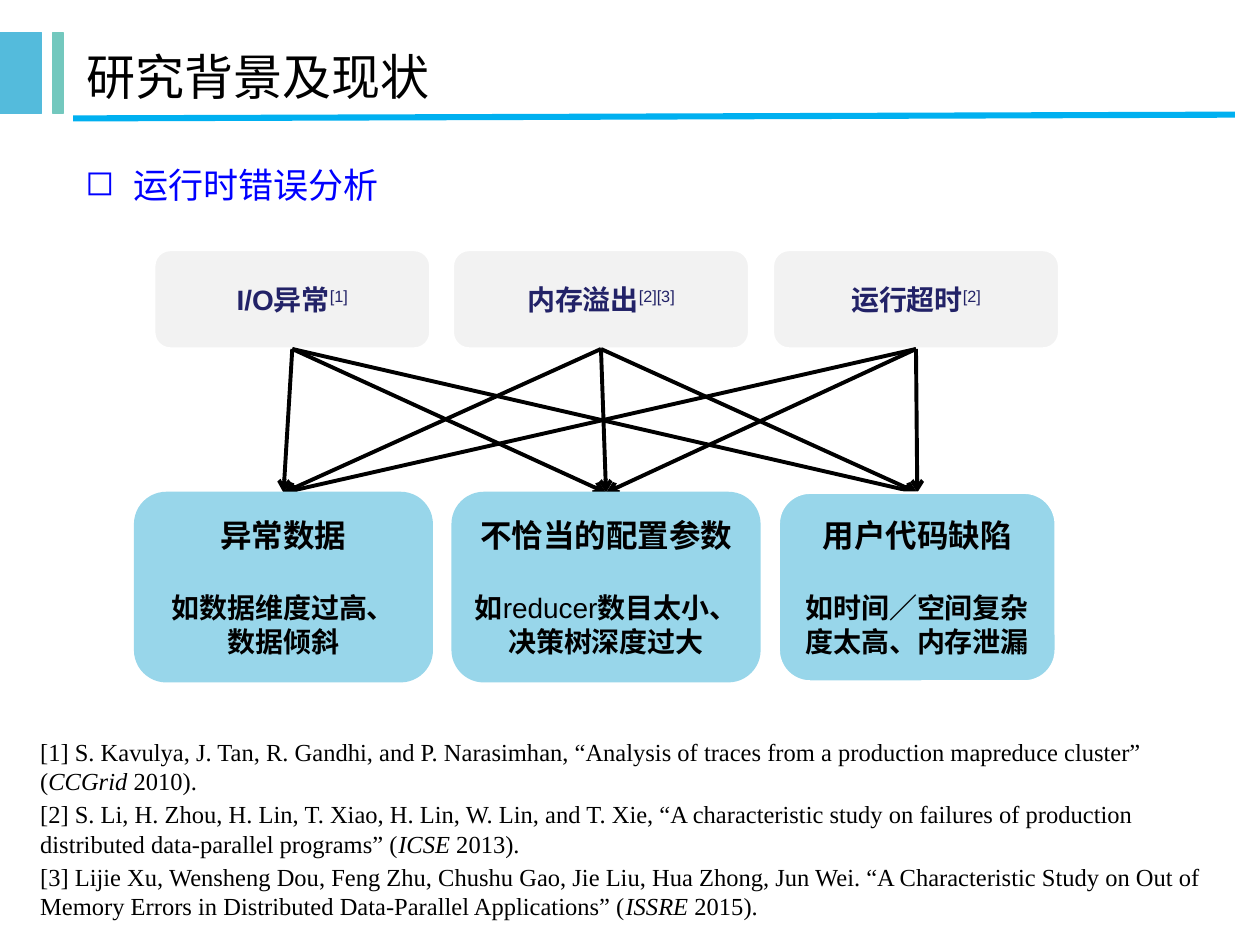
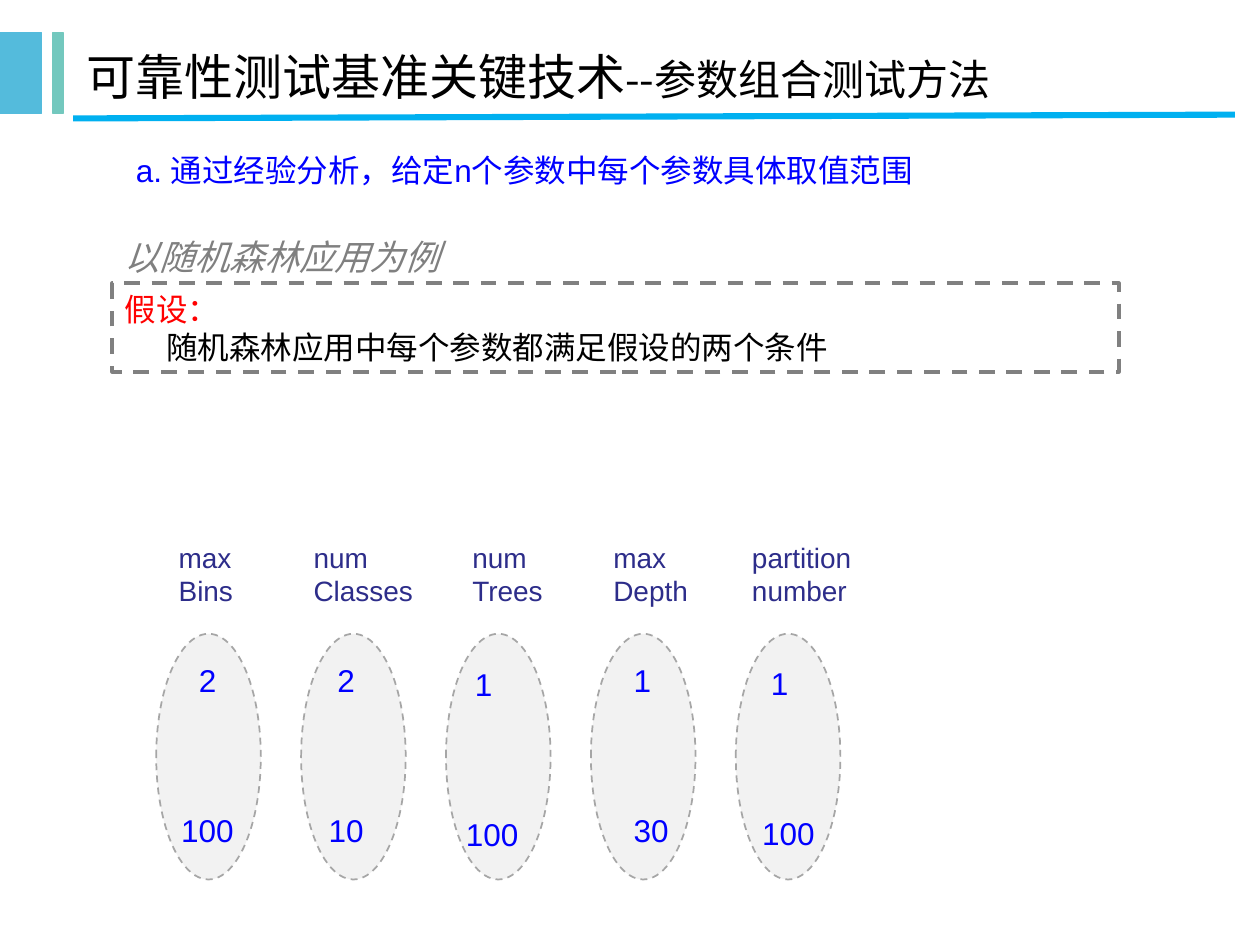
from itertools import product
from lxml.etree import SubElement
from pptx import Presentation
from pptx.dml.color import RGBColor
from pptx.enum.dml import MSO_LINE
from pptx.enum.shapes import MSO_CONNECTOR, MSO_SHAPE
from pptx.enum.text import MSO_ANCHOR, PP_ALIGN
from pptx.oxml.ns import qn
from pptx.util import Inches, Pt

COLORS = {
    "band": "54BBDC", "accent": "73C8BE", "rule": "00B0F0", "black": "000000",
    "white": "FFFFFF", "pale": "F2F2F2", "navy": "222267", "indigo": "2D2D8A",
    "blue": "0000FF", "cyan": "98D6EA", "gray": "808080", "silver": "A6A6A6",
    "red": "FF0000",
}
CJK_FONT = "Noto Sans CJK SC"


def rgb(name):
    return RGBColor.from_string(COLORS[name])


def write(paragraph, runs, size, color="black", font="Arial", bold=None,
          italic=None, align=PP_ALIGN.LEFT):
    paragraph.alignment = align
    paragraph.font.name = font
    paragraph.font.size = Pt(size)
    paragraph.font.bold = bold
    paragraph.font.italic = italic
    paragraph.font.color.rgb = rgb(color)
    for part in [runs] if isinstance(runs, str) else runs:
        text, changes = (part, {}) if isinstance(part, str) else part
        run = paragraph.add_run()
        run.text = text
        for name, value in changes.items():
            if name == "baseline":
                run._r.get_or_add_rPr().set("baseline", str(value))
            else:
                setattr(run.font, name, value)
        SubElement(run._r.get_or_add_rPr(), qn("a:ea"), typeface=CJK_FONT)
    return paragraph


def indent(paragraph, left, first=0):
    properties = paragraph._p.get_or_add_pPr()
    properties.set("marL", str(Inches(left)))
    properties.set("indent", str(Inches(first)))


def add_text(slide, box, lines, size, **style):
    frame = slide.shapes.add_textbox(*map(Inches, box)).text_frame
    frame.word_wrap = True
    for index, line in enumerate(lines):
        paragraph = frame.add_paragraph() if index else frame.paragraphs[0]
        write(paragraph, line, size, **style)
    return frame.paragraphs


def add_box(slide, kind, box, fill, line, width, dash=None):
    shape = slide.shapes.add_shape(kind, *map(Inches, box))
    shape.shadow.inherit = False
    if fill:
        shape.fill.solid()
        shape.fill.fore_color.rgb = rgb(fill)
    else:
        shape.fill.background()
    shape.line.color.rgb = rgb(line)
    shape.line.width = Pt(width)
    if dash:
        shape.line.dash_style = dash
    shape.text_frame.word_wrap = True
    shape.text_frame.vertical_anchor = MSO_ANCHOR.MIDDLE
    return shape


def add_line(slide, start, end, color, width, arrow=False):
    line = slide.shapes.add_connector(
        MSO_CONNECTOR.STRAIGHT, *map(Inches, (*start, *end)))
    line.line.color.rgb = rgb(color)
    line.line.width = Pt(width)
    if arrow:
        SubElement(line.line._get_or_add_ln(), qn("a:tailEnd"), type="arrow")
    SubElement(line._element.spPr, qn("a:effectLst"))


def add_titled_slide(presentation, title_runs):
    slide = presentation.slides.add_slide(presentation.slide_layouts[5])
    for left, width, color in ((0, 0.33, "band"), (0.42, 0.08, "accent")):
        add_box(slide, MSO_SHAPE.RECTANGLE, (left, 0.26, width, 0.64), color, color, 0.75)
    title = slide.shapes.title
    title.left, title.top, title.width, title.height = map(Inches, (0.59, 0.26, 8.91, 0.69))
    title.text_frame.vertical_anchor = MSO_ANCHOR.MIDDLE
    write(title.text_frame.paragraphs[0], title_runs, 28, font=CJK_FONT)
    add_line(slide, (0.58, 0.94), (9.8, 0.91), "rule", 3.5)
    return slide


def add_bullet(slide, box, text):
    paragraph = add_text(slide, box, [text], 20, color="blue")[0]
    indent(paragraph, 0.38, -0.38)
    properties = paragraph._p.get_or_add_pPr()
    bullet = SubElement(properties, qn("a:buChar"), char="◻")
    properties.insert(0, bullet)


def add_symptom(slide, box, name, citation):
    shape = add_box(slide, MSO_SHAPE.ROUNDED_RECTANGLE, box, "pale", "white", 2)
    runs = [(name, {"bold": True}), (citation, {"baseline": 30000})]
    write(shape.text_frame.paragraphs[0], runs, 16, "navy", align=PP_ALIGN.CENTER)


def add_cause(slide, box, line, width, heading, details):
    shape = add_box(slide, MSO_SHAPE.ROUNDED_RECTANGLE, box, "cyan", line, width)
    frame = shape.text_frame
    style = {"bold": True, "align": PP_ALIGN.CENTER}
    write(frame.paragraphs[0], heading, 18, **style).space_after = Pt(21)
    for detail in details:
        write(frame.add_paragraph(), detail, 16, **style)


def add_cause_map(slide, left, top):
    symptoms = [
        (0.15, 2.2, "I/O异常", "[1]"),
        (2.52, 2.36, "内存溢出", "[2][3]"),
        (5.06, 2.28, "运行超时", "[2]"),
    ]
    causes = [
        (0, 2.36, "cyan", 1, "异常数据", ["如数据维度过高、", "数据倾斜"]),
        (2.52, 2.44, "cyan", 1, "不恰当的配置参数",
         [["如", ("reducer", {"bold": False}), "数目太小、决策树深度过大"]]),
        (5.11, 2.2, "white", 1.5, "用户代码缺陷", ["如时间／空间复杂度太高、内存泄漏"]),
    ]
    symptom_height, cause_top, cause_height = 0.79, top + 1.93, 1.5
    for offset, width, *content in symptoms:
        add_symptom(slide, (left + offset, top, width, symptom_height), *content)
    for symptom, cause in product(symptoms, causes):
        start, end = (left + item[0] + item[1] / 2 for item in (symptom, cause))
        add_line(slide, (start, top + symptom_height), (end, cause_top), "black", 2.25, True)
    for offset, width, *content in causes:
        add_cause(slide, (left + offset, cause_top, width, cause_height), *content)


def add_references(slide, box):
    references = [
        ("[1] S. Kavulya, J. Tan, R. Gandhi, and P. Narasimhan, “Analysis of traces "
         "from a production mapreduce cluster” (", "CCGrid", " 2010)."),
        ("[2] S. Li, H. Zhou, H. Lin, T. Xiao, H. Lin, W. Lin, and T. Xie, “A characteristic "
         "study on failures of production distributed data-parallel programs” (",
         "ICSE", " 2013)."),
        ("[3] Lijie Xu, Wensheng Dou, Feng Zhu, Chushu Gao, Jie Liu, Hua Zhong, Jun Wei. "
         "“A Characteristic Study on Out of Memory Errors in Distributed Data-Parallel "
         "Applications” (", "ISSRE", " 2015)."),
    ]
    lines = [[start, (venue, {"italic": True}), end] for start, venue, end in references]
    for paragraph in add_text(slide, box, lines, 14, font="Times New Roman"):
        paragraph.space_before = paragraph.space_after = Pt(1)


def add_assumption(slide, box):
    left, top, width, height = box
    add_text(slide, (left, top, 4, 0.43), ["以随机森林应用为例"], 20, color="gray", italic=True)
    shape = add_box(slide, MSO_SHAPE.RECTANGLE, (left, top + 0.43, width, height - 0.43),
                    None, "gray", 2.25, MSO_LINE.DASH)
    frame = shape.text_frame
    write(frame.paragraphs[0], "假设：", 18, "red")
    indent(write(frame.add_paragraph(), "随机森林应用中每个参数都满足假设的两个条件", 18), 0.33)


def add_parameter_ranges(slide, left, top):
    parameters = [
        (0.08, 1.03, ["max", "Bins"], 0.1, 0.17, 0.14, "2", "100"),
        (1.15, 1.26, ["num", "Classes"], 1.27, 0.17, 0.07, "2", "10"),
        (2.41, 1.26, ["num", "Trees"], 2.36, 0.2, 0.07, "1", "100"),
        (3.53, 1.26, ["max", "Depth"], 3.69, 0.17, 0, "1", "30"),
        (4.63, 1.26, ["partition number"], 4.71, 0.19, 0.07, "1", "100"),
    ]
    pitch, oval_top = 1.15, top + 0.79
    for index, parameter in enumerate(parameters):
        label_x, label_width, label, value_x, value_y, shift, low, high = parameter
        add_text(slide, (left + label_x, top, label_width, 0.64), label, 16, color="indigo")
        add_box(slide, MSO_SHAPE.OVAL, (left + index * pitch, oval_top, 0.83, 1.95),
                "pale", "silver", 1, MSO_LINE.DASH)
        lowest, highest = add_text(
            slide, (left + value_x, oval_top + value_y, 0.8, 1.6), [low, high], 18, color="blue")
        indent(lowest, shift)
        highest.space_before = Pt(64)


def build_background_slide(presentation):
    slide = add_titled_slide(presentation, "研究背景及现状")
    add_bullet(slide, (0.58, 1.25, 2.58, 0.43), "运行时错误分析")
    add_cause_map(slide, 1.07, 1.98)
    add_references(slide, (0.22, 5.8, 9.55, 1.56))


def build_method_slide(presentation):
    slide = add_titled_slide(
        presentation, ["可靠性测试基准关键技术", ("--参数组合测试方法", {"size": Pt(24)})])
    add_text(slide, (0.98, 1.15, 8.19, 0.4),
             ["a. 通过经验分析，给定n个参数中每个参数具体取值范围"], 18, color="blue")
    add_assumption(slide, (0.89, 1.82, 7.99, 1.13))
    add_parameter_ranges(slide, 1.24, 4.24)


presentation = Presentation()
presentation.slide_width, presentation.slide_height = Inches(10), Inches(7.5)
build_background_slide(presentation)
build_method_slide(presentation)
presentation.save("out.pptx")
